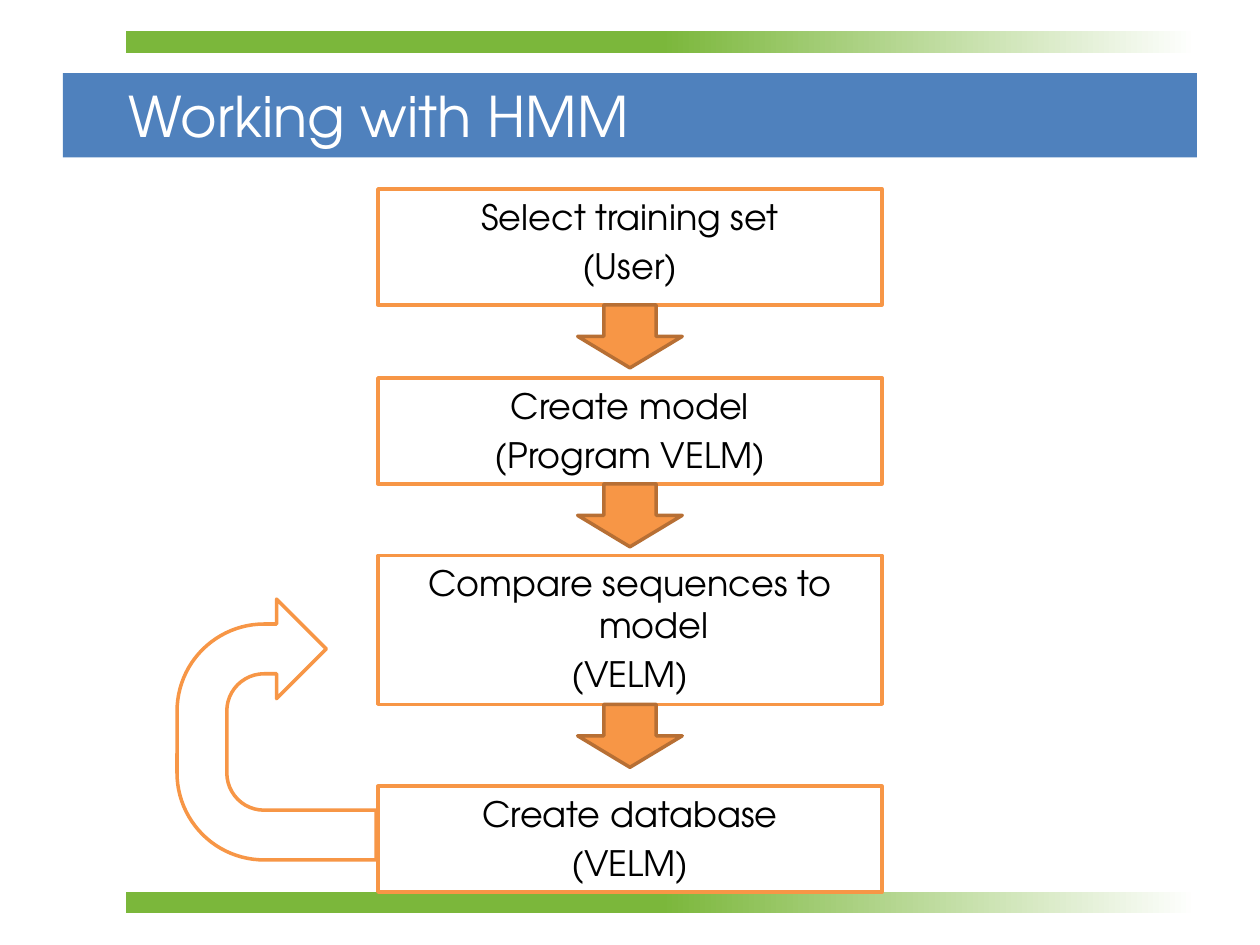
from pptx import Presentation
from pptx.dml.color import RGBColor
from pptx.enum.shapes import MSO_SHAPE as Kind
from pptx.enum.text import MSO_ANCHOR as Anchor, PP_ALIGN as Align
from pptx.util import Inches, Pt

# Content
TITLE = "Working with HMM"
STEPS = [  # top, height, lines
    (1.5, 0.92, ["Select training set", "(User)"]),
    (3, 0.84, ["Create model", "(Program VELM)"]),
    (4.41, 1.18, ["Compare sequences to model", "(VELM)"]),
    (6.24, 0.84, ["Create database", "(VELM)"]),
]
FONT = "TeX Gyre Adventor"
HEX = {"band": "4F81BD", "green": "7BB73B", "white": "FFFFFF",
       "orange": "F79646", "brown": "B76F34", "black": "000000"}
WIDE, HIGH = 10, 7.5
BOX_W, ARROW_W, ARROW_H = 4, 0.83, 0.5
BAR_H, BAR_GAP = 0.17, 0.25
HANG = Inches(0.38)


def rgb(name):
    return RGBColor.from_string(HEX[name])


def place(shape, *box):
    for key, size in zip(("left", "top", "width", "height"), box):
        setattr(shape, key, Inches(size))


def draw(slide, kind, box, fill, line=None):
    shape = slide.shapes.add_shape(kind, *map(Inches, box))
    shape.shadow.inherit = False
    shape.fill.solid()
    shape.fill.fore_color.rgb = rgb(fill)
    if line:
        shape.line.color.rgb = rgb(line)
        shape.line.width = Pt(2)
    else:
        shape.line.fill.background()
    return shape


def write(frame, lines, size, color, align, anchor):
    frame.word_wrap = True
    frame.vertical_anchor = anchor
    frame.text = "\n".join(lines)
    style = {"name": FONT, "size": Pt(size)}
    for para in frame.paragraphs:
        para.alignment = align
        for run in para.runs:
            for key, value in style.items():
                setattr(run.font, key, value)
            run.font.color.rgb = rgb(color)


def main():
    deck = Presentation()
    deck.slide_width, deck.slide_height = Inches(WIDE), Inches(HIGH)
    slide = deck.slides.add_slide(deck.slide_layouts[5])

    # Title band, with fading bars at the top and bottom
    draw(slide, Kind.RECTANGLE, (0.5, 0.58, 9, 0.67), "band")
    for top in (BAR_GAP, HIGH - BAR_GAP - BAR_H):
        bar = draw(slide, Kind.RECTANGLE, (1, top, 8.5, BAR_H), "green")
        bar.fill.gradient()
        bar.fill.gradient_angle = 0
        fade = ((0.5, "green"), (1, "white"))
        for stop, (place_at, color) in zip(bar.fill.gradient_stops, fade):
            stop.position = place_at
            stop.color.rgb = rgb(color)

    # Title, moved in front of its band
    title = slide.shapes.title
    place(title, 0.92, 0.58, 8.58, 0.67)
    write(title.text_frame, [TITLE], 32, "white", Align.LEFT, Anchor.MIDDLE)
    slide.shapes.element.append(title.element)

    # Step boxes
    for top, height, lines in STEPS:
        box = draw(slide, Kind.RECTANGLE,
                   ((WIDE - BOX_W) / 2, top, BOX_W, height), "white", "orange")
        write(box.text_frame, lines, 20, "black", Align.CENTER, Anchor.TOP)
        for para in box.text_frame.paragraphs:
            para.space_before = Pt(4)
            props = para._p.get_or_add_pPr()
            props.set("marL", str(HANG))
            props.set("indent", str(-HANG))

    # Arrows from each step down to the next
    for top, height, _ in STEPS[:-1]:
        draw(slide, Kind.DOWN_ARROW,
             ((WIDE - ARROW_W) / 2, top + height, ARROW_W, ARROW_H),
             "orange", "brown")

    # Loop back from the database to the comparison
    loop = draw(slide, Kind.U_TURN_ARROW, (1.16, 5, 2.07, 1.58),
                "white", "orange")
    loop.rotation = 270

    deck.save("out.pptx")


if __name__ == "__main__":
    main()
